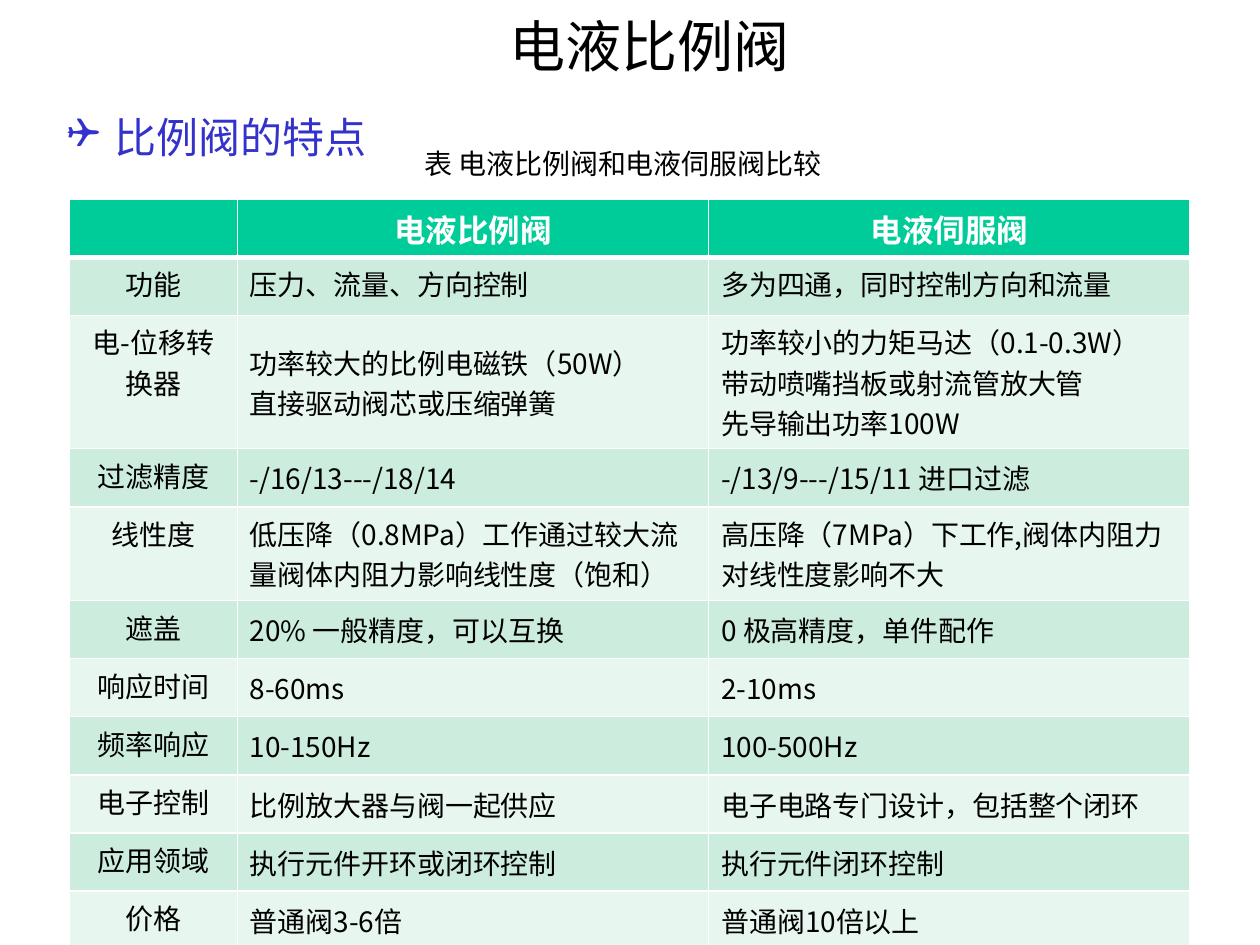
from pptx import Presentation
from pptx.dml.color import RGBColor
from pptx.enum import text as t
from pptx.oxml import xmlchemy as x
from pptx.util import Pt

COLORS = {
    "ink": "000000",
    "heading": "3333CC",
    "header": "00CC99",
    "band_dark": "CCECDE",
    "band_light": "E7F6EF",
    "white": "FFFFFF",
}
FONT = "Noto Sans CJK SC"
HEADER_FONT = "Times New Roman"
BULLET_FONT = "Wingdings"
CENTER = t.PP_ALIGN.CENTER
TOP, MIDDLE = t.MSO_ANCHOR.TOP, t.MSO_ANCHOR.MIDDLE

COLUMN_WIDTHS = (96, 269.4, 275)
ROW_HEIGHT = 33.2
TALL_ROWS = {2: 76.2, 4: 53.6}
HEADERS = ("", "电液比例阀", "电液伺服阀")
COMPARISON = (
    ("功能", "压力、流量、方向控制", "多为四通，同时控制方向和流量"),
    ("电-位移转换器", "功率较大的比例电磁铁（50W）\n直接驱动阀芯或压缩弹簧",
     "功率较小的力矩马达（0.1-0.3W）\n带动喷嘴挡板或射流管放大管\n先导输出功率100W"),
    ("过滤精度", "-/16/13---/18/14", "-/13/9---/15/11 进口过滤"),
    ("线性度", "低压降（0.8MPa）工作通过较大流量阀体内阻力影响线性度（饱和）",
     "高压降（7MPa）下工作,阀体内阻力对线性度影响不大"),
    ("遮盖", "20% 一般精度，可以互换", "0 极高精度，单件配作"),
    ("响应时间", "8-60ms", "2-10ms"),
    ("频率响应", "10-150Hz", "100-500Hz"),
    ("电子控制", "比例放大器与阀一起供应", "电子电路专门设计，包括整个闭环"),
    ("应用领域", "执行元件开环或闭环控制", "执行元件闭环控制"),
    ("价格", "普通阀3-6倍", "普通阀10倍以上"),
)


def rgb(name):
    return RGBColor.from_string(COLORS[name])


def add_child(parent, tag, **attributes):
    child = x.OxmlElement(tag)
    for key, value in attributes.items():
        child.set(key, str(value))
    parent.append(child)
    return child


def write(frame, content, size=16, color="ink", font=FONT, bold=False,
          align=t.PP_ALIGN.LEFT, bullet=None, indent=0):
    """Fill a text frame, one paragraph for each line of content."""
    for number, line in enumerate(content.split("\n")):
        paragraph = frame.paragraphs[0] if number == 0 else frame.add_paragraph()
        paragraph.alignment = align
        if bullet:
            properties = paragraph._p.get_or_add_pPr()
            properties.set("marL", str(Pt(indent)))
            properties.set("indent", str(-Pt(indent)))
            add_child(properties, "a:buFont", typeface=BULLET_FONT, charset=2)
            add_child(properties, "a:buChar", char=bullet)
        run = paragraph.add_run()
        run.text = line
        run.font.size = Pt(size)
        run.font.bold = bold
        run.font.name = font
        run.font.color.rgb = rgb(color)
        add_child(run._r.get_or_add_rPr(), "a:ea", typeface=FONT)


def add_label(slide, content, left, top, width, height, anchor=TOP, **style):
    frame = slide.shapes.add_textbox(Pt(left), Pt(top), Pt(width), Pt(height)).text_frame
    frame.word_wrap = True
    frame.vertical_anchor = anchor
    write(frame, content, **style)


def set_borders(cell, top=1, bottom=1):
    properties = cell._tc.get_or_add_tcPr()
    for side, width in (("L", 1), ("R", 1), ("T", top), ("B", bottom)):
        line = add_child(properties, f"a:ln{side}", w=Pt(width))
        fill = add_child(line, "a:solidFill")
        add_child(fill, "a:srgbClr", val=COLORS["white"])


def paint(cell, color, **borders):
    set_borders(cell, **borders)
    cell.fill.solid()
    cell.fill.fore_color.rgb = rgb(color)


def add_comparison(slide, left, top):
    row_count = len(COMPARISON) + 1
    heights = [TALL_ROWS.get(row, ROW_HEIGHT) for row in range(row_count)]
    table = slide.shapes.add_table(
        row_count, len(COLUMN_WIDTHS), Pt(left), Pt(top),
        Pt(sum(COLUMN_WIDTHS)), Pt(sum(heights))).table
    for column, width in zip(table.columns, COLUMN_WIDTHS):
        column.width = Pt(width)
    for row, height in zip(table.rows, heights):
        row.height = Pt(height)

    for column, header in enumerate(HEADERS):
        cell = table.cell(0, column)
        paint(cell, "header", bottom=3)
        if header:
            write(cell.text_frame, header, size=18, color="white",
                  font=HEADER_FONT, bold=True, align=CENTER)

    for row, entries in enumerate(COMPARISON, start=1):
        for column, entry in enumerate(entries):
            cell = table.cell(row, column)
            paint(cell, "band_dark" if row % 2 else "band_light",
                  top=3 if row == 1 else 1)
            cell.vertical_anchor = MIDDLE if column and row > 1 else TOP
            write(cell.text_frame, entry,
                  align=t.PP_ALIGN.LEFT if column else CENTER)


def main():
    presentation = Presentation()
    presentation.slide_width, presentation.slide_height = Pt(720), Pt(540)
    slide = presentation.slides.add_slide(presentation.slide_layouts[6])
    add_label(slide, "电液比例阀", 116, 1.5, 510, 49, anchor=MIDDLE, size=32, align=CENTER)
    add_label(slide, "比例阀的特点", 31.2, 60.2, 657, 39.6, size=24, color="heading",
              align=t.PP_ALIGN.JUSTIFY, bullet="❑", indent=27.2)
    add_comparison(slide, 39.6, 113.8)
    add_label(slide, "表 电液比例阀和电液伺服阀比较", 235.5, 80, 249, 34)
    presentation.save("out.pptx")


if __name__ == "__main__":
    main()
